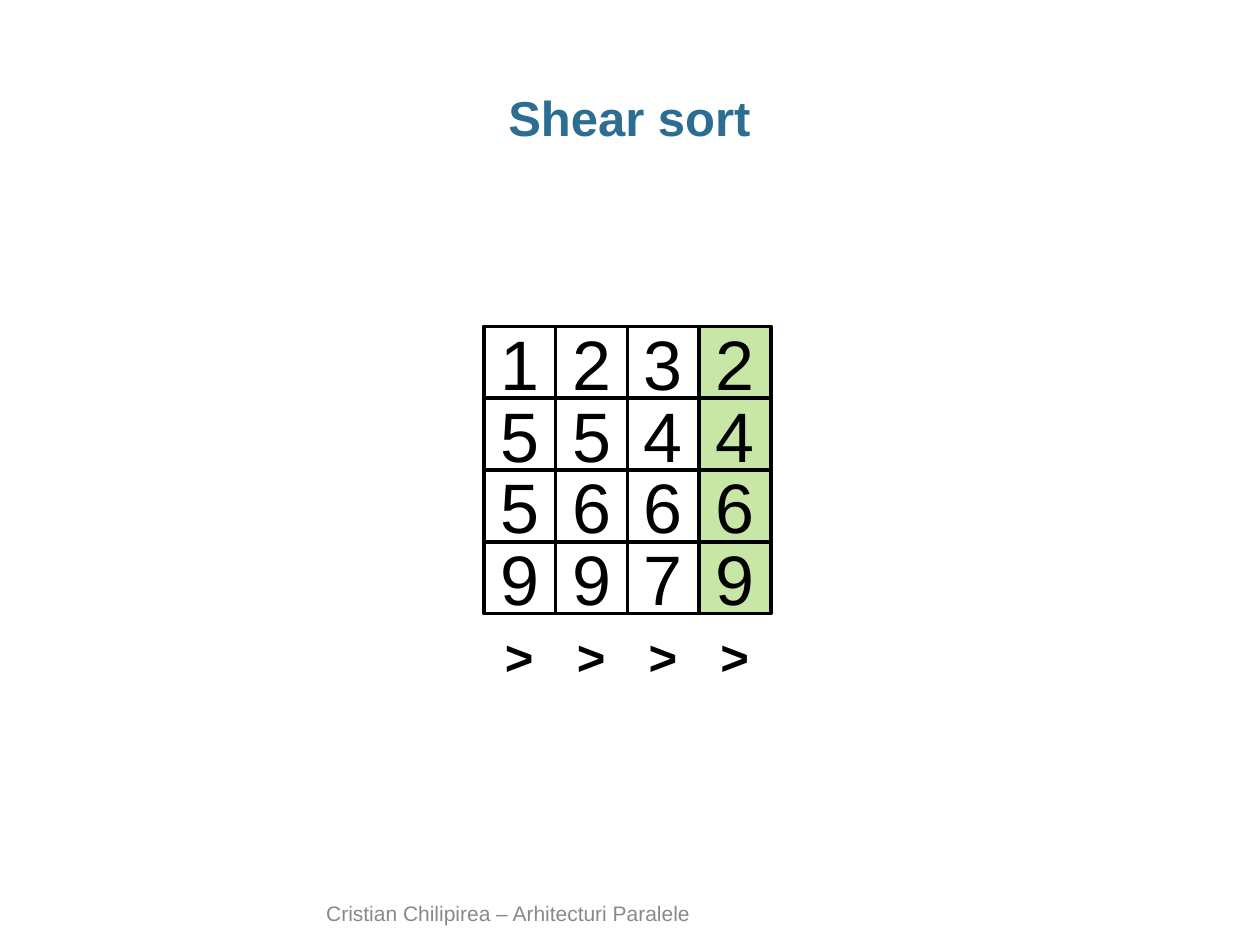
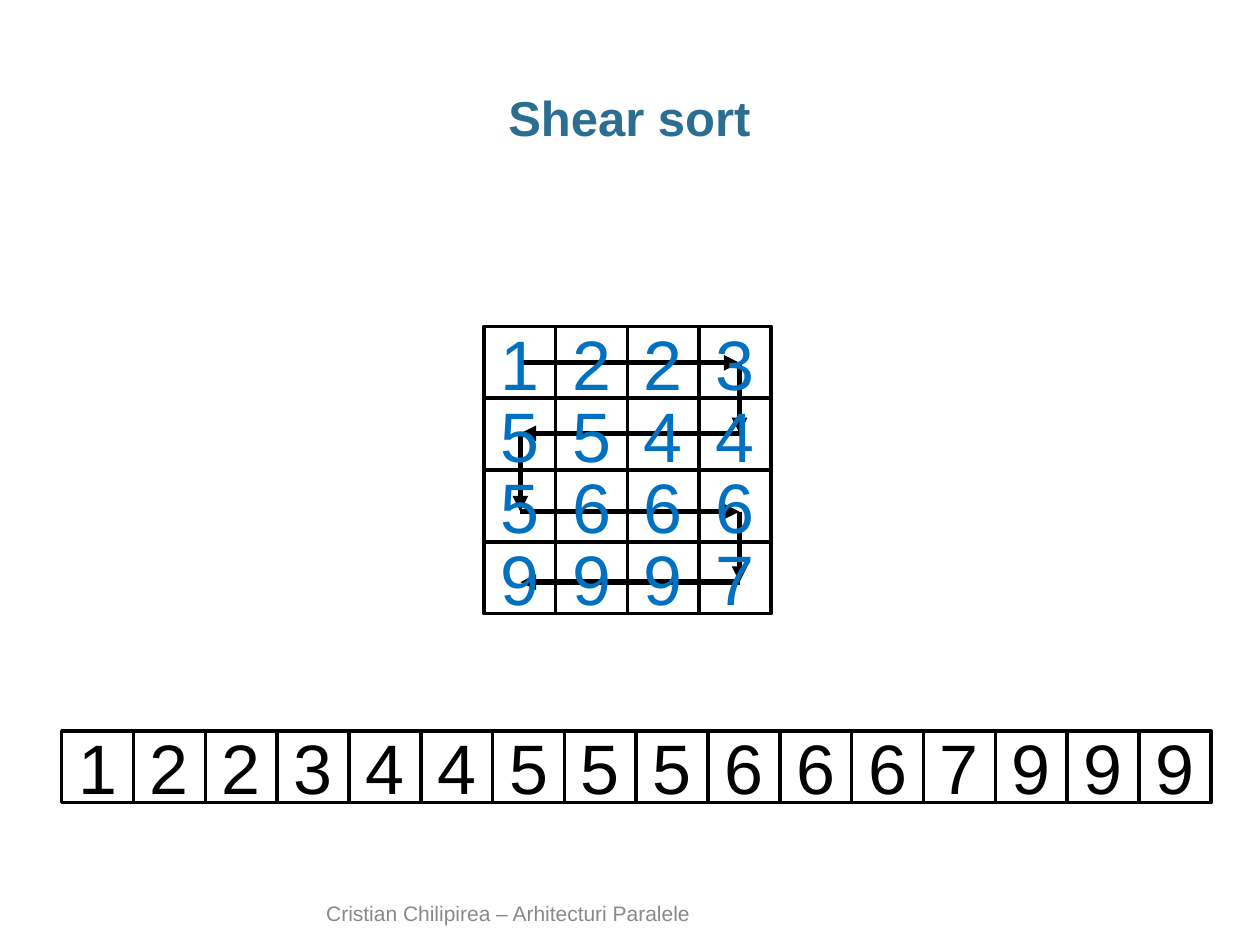
from dataclasses import dataclass
from itertools import pairwise

from lxml import etree
from pptx import Presentation
from pptx import util as u
from pptx.dml.color import RGBColor
from pptx.enum import shapes, text
from pptx.oxml import ns


@dataclass(frozen=True)
class Theme:
    font: str = "Arial"
    title_color: str = "2C6D92"
    footer_color: str = "898989"
    ink: str = "000000"
    sorted_ink: str = "0070C0"
    highlight: str = "92D050"
    highlight_alpha: int = 50
    title_size: int = 28
    footer_size: int = 12
    number_size: int = 40
    mark_size: int = 28
    cell_line: int = 2
    arrow_line: int = 3


THEME = Theme()
CELL = 0.57
MATRIX_LEFT, MATRIX_TOP = 3.84, 2.59
STRIP_LEFT, STRIP_TOP = 0.49, 5.8
LANE_ENDS = (4.13, 5.87)
LANE_HEIGHTS = (2.88, 3.44, 4.06, 4.62)


def add_child(parent, tag, **attributes):
    return etree.SubElement(parent, ns.qn(tag), attributes)


def write(shape, content, size, color, bold=False):
    paragraph = shape.text_frame.paragraphs[0]
    paragraph.text = content
    paragraph.font.name = THEME.font
    paragraph.font.size = u.Pt(size)
    paragraph.font.bold = bold
    paragraph.font.color.rgb = RGBColor.from_string(color)
    return paragraph


def add_label(slide, box, content, size, color, bold=False, wrap=True):
    label = slide.shapes.add_textbox(*map(u.Inches, box))
    label.text_frame.word_wrap = wrap
    write(label, content, size, color, bold)
    return label


def add_title(slide, content):
    title = add_label(slide, (0.34, 0.68, 9.31, 0.5), content,
                      THEME.title_size, THEME.title_color, bold=True)
    title.text_frame.margin_left = title.text_frame.margin_right = 0
    paragraph = title.text_frame.paragraphs[0]
    paragraph.alignment = text.PP_ALIGN.CENTER
    paragraph.line_spacing = 0.95


def add_footer(slide, content):
    footer = add_label(slide, (2.49, 7.16, 5.02, 0.24), content,
                       THEME.footer_size, THEME.footer_color)
    footer.text_frame.vertical_anchor = text.MSO_ANCHOR.BOTTOM


def add_cell(slide, left, top, number, ink, highlighted):
    cell = slide.shapes.add_shape(
        shapes.MSO_SHAPE.RECTANGLE, *map(u.Inches, (left, top, CELL, CELL)))
    cell.shadow.inherit = False
    cell.line.color.rgb = RGBColor.from_string(THEME.ink)
    cell.line.width = u.Pt(THEME.cell_line)
    if highlighted:
        cell.fill.solid()
        cell.fill.fore_color.rgb = RGBColor.from_string(THEME.highlight)
        color = cell.fill._xPr.find(ns.qn("a:solidFill"))[0]
        add_child(color, "a:alpha", val=str(THEME.highlight_alpha * 1000))
    else:
        cell.fill.background()
    cell.text_frame.vertical_anchor = text.MSO_ANCHOR.MIDDLE
    paragraph = write(cell, number, THEME.number_size, ink)
    paragraph.alignment = text.PP_ALIGN.CENTER


def add_number_grid(slide, left, top, rows, ink=THEME.ink, highlighted_column=None):
    for row, numbers in enumerate(rows):
        for column, number in enumerate(numbers):
            add_cell(slide, left + column * CELL, top + row * CELL, number, ink,
                     column == highlighted_column)


def add_direction_marks(slide, columns):
    for column in range(columns):
        box = (MATRIX_LEFT + column * CELL + 0.07, 4.92, 0.43, CELL)
        add_label(slide, box, ">", THEME.mark_size, THEME.ink, bold=True, wrap=False)


def add_arrow(slide, start, end):
    arrow = slide.shapes.add_connector(
        shapes.MSO_CONNECTOR.STRAIGHT, *map(u.Inches, (*start, *end)))
    arrow.line.color.rgb = RGBColor.from_string(THEME.ink)
    arrow.line.width = u.Pt(THEME.arrow_line)
    add_child(arrow.line._get_or_add_ln(), "a:tailEnd", type="triangle")
    add_child(arrow._element.spPr, "a:effectLst")


def add_snake_route(slide):
    corners = []
    for lane, height in enumerate(LANE_HEIGHTS):
        ends = LANE_ENDS if lane % 2 == 0 else LANE_ENDS[::-1]
        corners += [(end, height) for end in ends]
    for start, end in pairwise(corners):
        add_arrow(slide, start, end)


def add_sort_slide(presentation):
    slide = presentation.slides.add_slide(presentation.slide_layouts[6])
    add_title(slide, "Shear sort")
    add_footer(slide, "Cristian Chilipirea – Arhitecturi Paralele")
    return slide


def build_column_step(presentation):
    slide = add_sort_slide(presentation)
    matrix = ("1232", "5544", "5666", "9979")
    add_number_grid(slide, MATRIX_LEFT, MATRIX_TOP, matrix, highlighted_column=3)
    add_direction_marks(slide, len(matrix[0]))


def build_sorted_result(presentation):
    slide = add_sort_slide(presentation)
    matrix = ("1223", "5544", "5666", "9997")
    add_snake_route(slide)
    add_number_grid(slide, MATRIX_LEFT, MATRIX_TOP, matrix, ink=THEME.sorted_ink)
    sorted_numbers = "".join(sorted("".join(matrix)))
    add_number_grid(slide, STRIP_LEFT, STRIP_TOP, (sorted_numbers,))


def main():
    presentation = Presentation()
    presentation.slide_width = u.Inches(10)
    presentation.slide_height = u.Inches(7.5)
    build_column_step(presentation)
    build_sorted_result(presentation)
    presentation.save("out.pptx")


if __name__ == "__main__":
    main()
